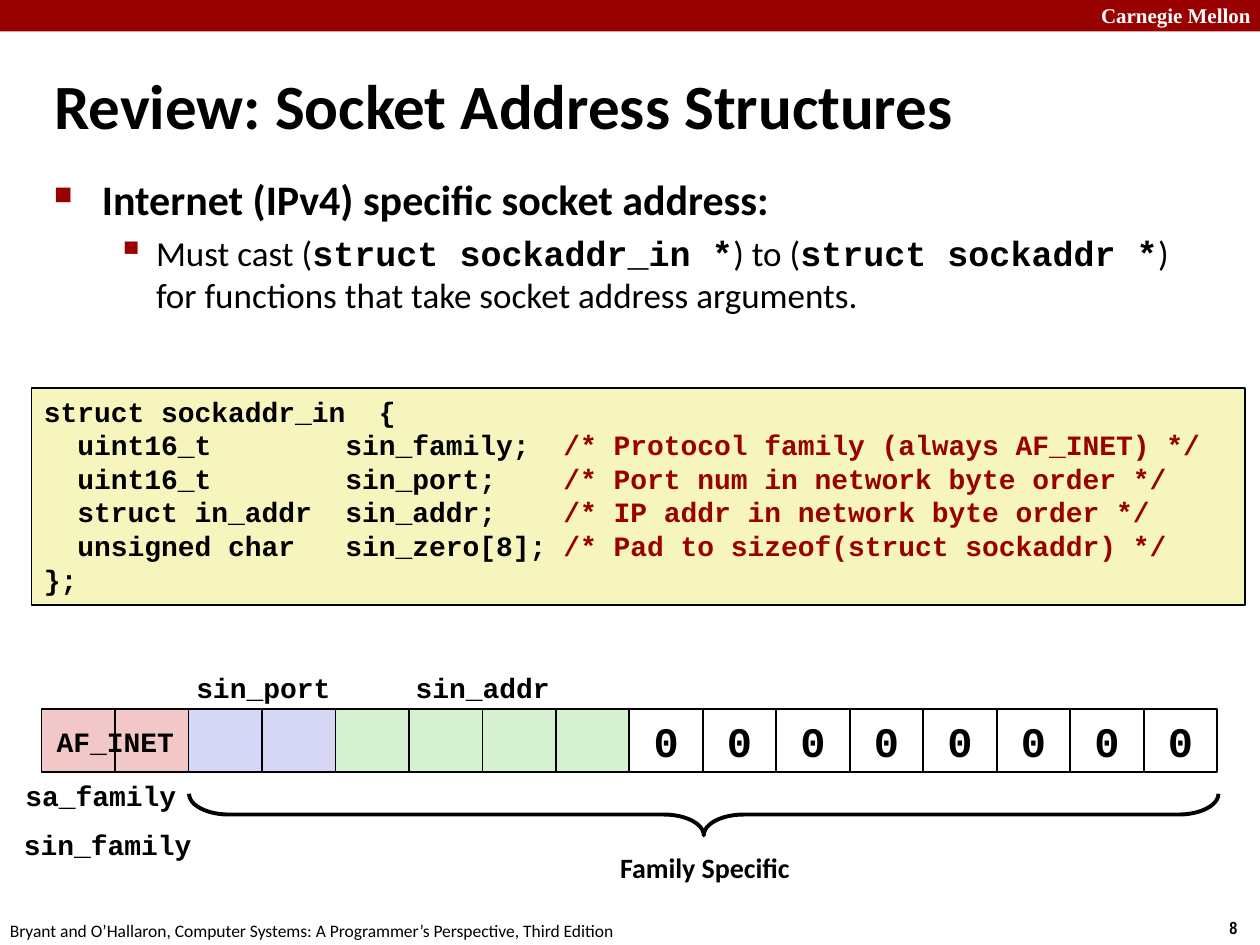
from lxml import etree
from pptx import Presentation
from pptx.dml.color import RGBColor
from pptx.enum import shapes, text
from pptx.oxml import ns
from pptx.util import Inches, Pt

COLORS = {
    "black": "000000", "white": "FFFFFF", "red": "990000", "code": "F6F5BD",
    "family": "F1C7C7", "port": "D6D6F5", "address": "D5F1CF",
}
MONO, SANS = "Courier New", "Calibri"
LEFT, CENTER = text.PP_ALIGN.LEFT, text.PP_ALIGN.CENTER
TOP, MIDDLE = text.MSO_ANCHOR.TOP, text.MSO_ANCHOR.MIDDLE


def write(shape, paragraphs, align=LEFT, anchor=TOP, wrap=True):
    """Fill a shape with paragraphs, each a list of (words, size, font, bold, color)."""
    frame = shape.text_frame
    frame.auto_size = text.MSO_AUTO_SIZE.NONE
    frame.word_wrap = wrap
    frame.vertical_anchor = anchor
    for index, runs in enumerate(paragraphs):
        paragraph = frame.add_paragraph() if index else frame.paragraphs[0]
        paragraph.alignment = align
        for words, size, font, bold, color in runs:
            run = paragraph.add_run()
            run.text = words
            formats = {"size": Pt(size), "name": font, "bold": bold}
            for name, value in formats.items():
                setattr(run.font, name, value)
            run.font.color.rgb = RGBColor.from_string(COLORS[color])
    return frame.paragraphs


def add_box(place, fill=None, line=None, kind=shapes.MSO_SHAPE.RECTANGLE):
    """Add a preset shape with the given fill color and line width."""
    shape = slide.shapes.add_shape(kind, *map(Inches, place))
    shape.shadow.inherit = False
    if fill:
        shape.fill.solid()
        shape.fill.fore_color.rgb = RGBColor.from_string(COLORS[fill])
    else:
        shape.fill.background()
    if line:
        shape.line.width = Pt(line)
        shape.line.color.rgb = RGBColor.from_string(COLORS["black"])
    else:
        shape.line.fill.background()
    return shape


presentation = Presentation()
presentation.slide_width, presentation.slide_height = Inches(10), Inches(7.5)
slide = presentation.slides.add_slide(presentation.slide_layouts[5])

# Header bar
add_box((0, 0, 10, 0.25), "red")

# Title
title = slide.shapes.title
title.left, title.top, title.width, title.height = map(Inches, (0.33, 0.4, 9.53, 0.85))
write(title, [[("Review: Socket Address Structures", 36, SANS, True, "black")]], anchor=MIDDLE)

# Bulleted text
body = slide.shapes.add_textbox(*map(Inches, (0.33, 1.33, 9.09, 1.83)))
points = write(body, [
    [("Internet (IPv4) specific socket address:", 24, SANS, True, "black")],
    [("Must cast (", 20, SANS, False, "black"),
     ("struct sockaddr_in *", 20, MONO, True, "black"),
     (") to (", 20, SANS, False, "black"),
     ("struct sockaddr *", 20, MONO, True, "black"),
     (") for functions that take socket address arguments.", 20, SANS, False, "black")],
])
points[1].level = 1
points[1].space_before = Pt(4)
bullets = [("■", 60, 0.38, 0.38), ("▪", 110, 0.81, 0.31)]
for paragraph, (symbol, percent, margin, hanging) in zip(points, bullets):
    properties = paragraph._p.get_or_add_pPr()
    properties.set("marL", str(Inches(margin)))
    properties.set("indent", str(-Inches(hanging)))
    color = etree.SubElement(properties, ns.qn("a:buClr"))
    etree.SubElement(color, ns.qn("a:srgbClr"), val=COLORS["red"])
    etree.SubElement(properties, ns.qn("a:buSzPct"), val=str(percent * 1000))
    etree.SubElement(properties, ns.qn("a:buChar"), char=symbol)

# Structure definition
code = [
    ("struct sockaddr_in  {", ""),
    ("  uint16_t        sin_family;  ", "/* Protocol family (always AF_INET) */"),
    ("  uint16_t        sin_port;    ", "/* Port num in network byte order */"),
    ("  struct in_addr  sin_addr;    ", "/* IP addr in network byte order */"),
    ("  unsigned char   sin_zero[8]; ", "/* Pad to sizeof(struct sockaddr) */"),
    ("};", ""),
]
code_box = add_box((0.25, 3.08, 9.63, 1.72), "code", 1)
code_lines = write(code_box, [
    [(words, 16, MONO, True, color)
     for words, color in zip(line, ("black", "red")) if words]
    for line in code
])
for paragraph in code_lines:
    paragraph.line_spacing = Pt(19.2)

# Sixteen bytes of the address
byte_fills = ["family"] * 2 + ["port"] * 2 + ["address"] * 4 + ["white"] * 8
byte_width = 9.33 / len(byte_fills)
for index, fill in enumerate(byte_fills):
    cell = add_box((0.33 + index * byte_width, 5.63, byte_width, 0.5), fill, 1)
    if fill == "white":
        write(cell, [[("0", 24, MONO, True, "black")]], CENTER, MIDDLE)

# Brace under the family specific bytes
brace = add_box((5.42, 2.38, 0.33, 8.17), None, 2.25, shapes.MSO_SHAPE.RIGHT_BRACE)
brace.rotation = 90
brace.adjustments[0] = 0.96
brace.adjustments[1] = 0.5

# Labels, header and footer
labels = [
    ("sin_port", (1.45, 5.27, 1.28, 0.37), 16, MONO, True, "black", CENTER),
    ("sin_addr", (3.19, 5.27, 1.28, 0.37), 16, MONO, True, "black", CENTER),
    ("AF_INET", (0.34, 5.7, 1.15, 0.37), 16, MONO, True, "black", CENTER),
    ("sa_family", (0.1, 6.13, 1.4, 0.37), 16, MONO, True, "black", CENTER),
    ("sin_family", (0.08, 6.52, 1.55, 0.37), 16, MONO, True, "black", CENTER),
    ("Family Specific", (4.81, 6.7, 1.57, 0.37), 16, SANS, True, "black", CENTER),
    ("Carnegie Mellon", (8.64, -0.03, 1.43, 0.3), 12, "Times New Roman", True, "white", LEFT),
    ("8", (9.66, 7.23, 0.34, 0.27), 10, "Arial Narrow", True, "black", LEFT),
    ("Bryant and O’Hallaron, Computer Systems: A Programmer’s Perspective, Third Edition",
     (-0.02, 7.25, 5.08, 0.27), 10, SANS, False, "black", LEFT),
]
for words, place, size, font, bold, color, align in labels:
    label = slide.shapes.add_textbox(*map(Inches, place))
    write(label, [[(words, size, font, bold, color)]], align, wrap=False)

presentation.save("out.pptx")
